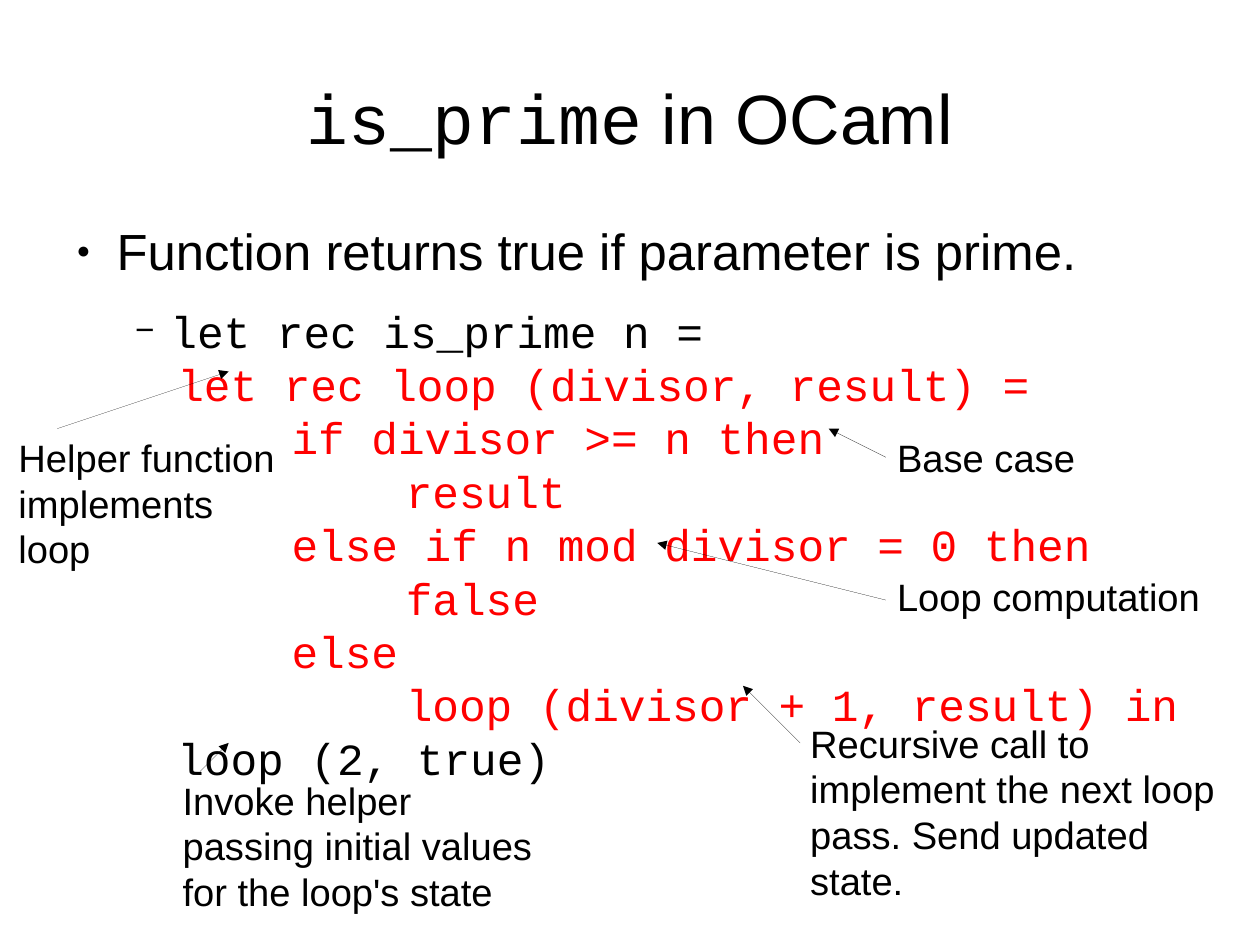
"""Build the slide that explains is_prime in OCaml."""
from dataclasses import dataclass

from lxml import etree
from pptx import Presentation
from pptx import util as u
from pptx.dml.color import RGBColor
from pptx.enum import shapes, text
from pptx.oxml import ns


@dataclass(frozen=True)
class Theme:
    ink: str = "000000"
    accent: str = "FF0000"
    sans: str = "Arial"
    mono: str = "Courier New"
    title: int = 44
    bullet: int = 32
    code: int = 28
    note: int = 24
    hairline: float = 0.01


T = Theme()
WIDTH, HEIGHT = u.Cm(28), u.Cm(21)
CELL = 0.25
TITLE_BOX = (0.05, 0.046, 0.9, 0.155)
BODY_BOX = (0.05, 0.233, 0.9, 0.648)
TAB_STOPS = [1, 2, 3]

TITLE = [("is_prime", T.mono), (" in OCaml", T.sans)]
BULLET = "Function returns true if parameter is prime."
CODE = [
    (0, "let rec is_prime n =", T.ink),
    (1, "let rec loop (divisor, result) =", T.accent),
    (2, "if divisor >= n then", T.accent),
    (3, "result", T.accent),
    (2, "else if n mod divisor = 0 then", T.accent),
    (3, "false", T.accent),
    (2, "else", T.accent),
    (3, "loop (divisor + 1, result) in", T.accent),
    (1, "loop (2, true)", T.ink),
]
NOTES = [
    {"lines": ["Helper function", "implements", "loop"],
     "box": (0.25, 15, 9.8, 4.84), "arrow": (2, 15, 8, 13)},
    {"lines": ["Invoke helper", "passing initial values", "for the loop's state"],
     "box": (6, 27, 13.04, 4.84), "arrow": (7, 27, 8, 26)},
    {"lines": ["Base case"], "joined": True,
     "box": (31, 15, 7.04, 2), "arrow": (31, 16, 29, 15)},
    {"lines": ["Loop computation"],
     "box": (31, 19.86, 11.4, 1.88), "arrow": (31, 21, 23, 19)},
    {"lines": ["Recursive call to", "implement the next loop",
               "pass. Send updated", "state."],
     "box": (27.96, 25, 14.96, 6.36), "arrow": (28, 26, 26, 24)},
]


def grid(cells):
    return [u.Inches(c * CELL) for c in cells]


def write(p, words, font=T.sans, size=T.note, color=T.ink):
    r = p.add_run()
    r.text = words
    r.font.name = font
    r.font.size = u.Pt(size)
    r.font.color.rgb = RGBColor.from_string(color)


def add(parent, tag, **attrs):
    return etree.SubElement(parent, ns.qn(tag), {k: str(v) for k, v in attrs.items()})


def place(sp, shares):
    x, y, w, h = shares
    sp.left, sp.width = int(x * WIDTH), int(w * WIDTH)
    sp.top, sp.height = int(y * HEIGHT), int(h * HEIGHT)
    tf = sp.text_frame
    tf.margin_left = tf.margin_right = tf.margin_top = tf.margin_bottom = 0
    tf.auto_size = text.MSO_AUTO_SIZE.NONE
    return tf


def set_bullet(p, char, percent, left, hang, after, tabs=()):
    pPr = p._p.get_or_add_pPr()
    pPr.set("marL", str(u.Inches(left)))
    pPr.set("indent", str(-u.Inches(hang)))
    p.space_before, p.space_after = u.Pt(0), u.Pt(after)
    add(add(pPr, "a:buClr"), "a:srgbClr", val=T.ink)
    add(pPr, "a:buSzPct", val=percent * 1000)
    add(pPr, "a:buChar", char=char)
    if tabs:
        stops = add(pPr, "a:tabLst")
        for stop in tabs:
            add(stops, "a:tab", pos=u.Inches(stop), algn="l")


def add_title(s):
    tf = place(s.shapes.title, TITLE_BOX)
    tf.vertical_anchor = text.MSO_ANCHOR.MIDDLE
    p = tf.paragraphs[0]
    p.alignment = text.PP_ALIGN.CENTER
    for words, font in TITLE:
        write(p, words, font=font, size=T.title)


def add_body(s):
    tf = place(s.placeholders[1], BODY_BOX)
    tf.vertical_anchor = text.MSO_ANCHOR.TOP
    p = tf.paragraphs[0]
    set_bullet(p, "●", 45, 0.47, 0.35, 14.2)
    write(p, BULLET, size=T.bullet)
    p = tf.add_paragraph()
    p.level = 1
    set_bullet(p, "−", 75, 0.94, 0.31, 11.3, TAB_STOPS)
    for i, (depth, words, color) in enumerate(CODE):
        if i:
            p.add_line_break()
        write(p, "\t" * depth + words, font=T.mono, size=T.code, color=color)


def add_note(s, lines, box, arrow, joined=False):
    sp = s.shapes.add_textbox(*grid(box))
    tf = sp.text_frame
    tf.word_wrap = False
    tf.auto_size = text.MSO_AUTO_SIZE.SHAPE_TO_FIT_TEXT
    for i, words in enumerate(lines):
        write(tf.add_paragraph() if i else tf.paragraphs[0], words)
    line = s.shapes.add_connector(shapes.MSO_CONNECTOR.STRAIGHT, *grid(arrow))
    if joined:
        line.begin_connect(sp, 1)
    line.line.color.rgb = RGBColor.from_string(T.ink)
    line.line.width = u.Pt(T.hairline)
    add(line.line._get_or_add_ln(), "a:tailEnd", type="triangle")
    add(line._element.spPr, "a:effectLst")


def main():
    prs = Presentation()
    prs.slide_width, prs.slide_height = WIDTH, HEIGHT
    s = prs.slides.add_slide(prs.slide_layouts[1])
    add_title(s)
    add_body(s)
    for note in NOTES:
        add_note(s, **note)
    prs.save("out.pptx")


if __name__ == "__main__":
    main()
